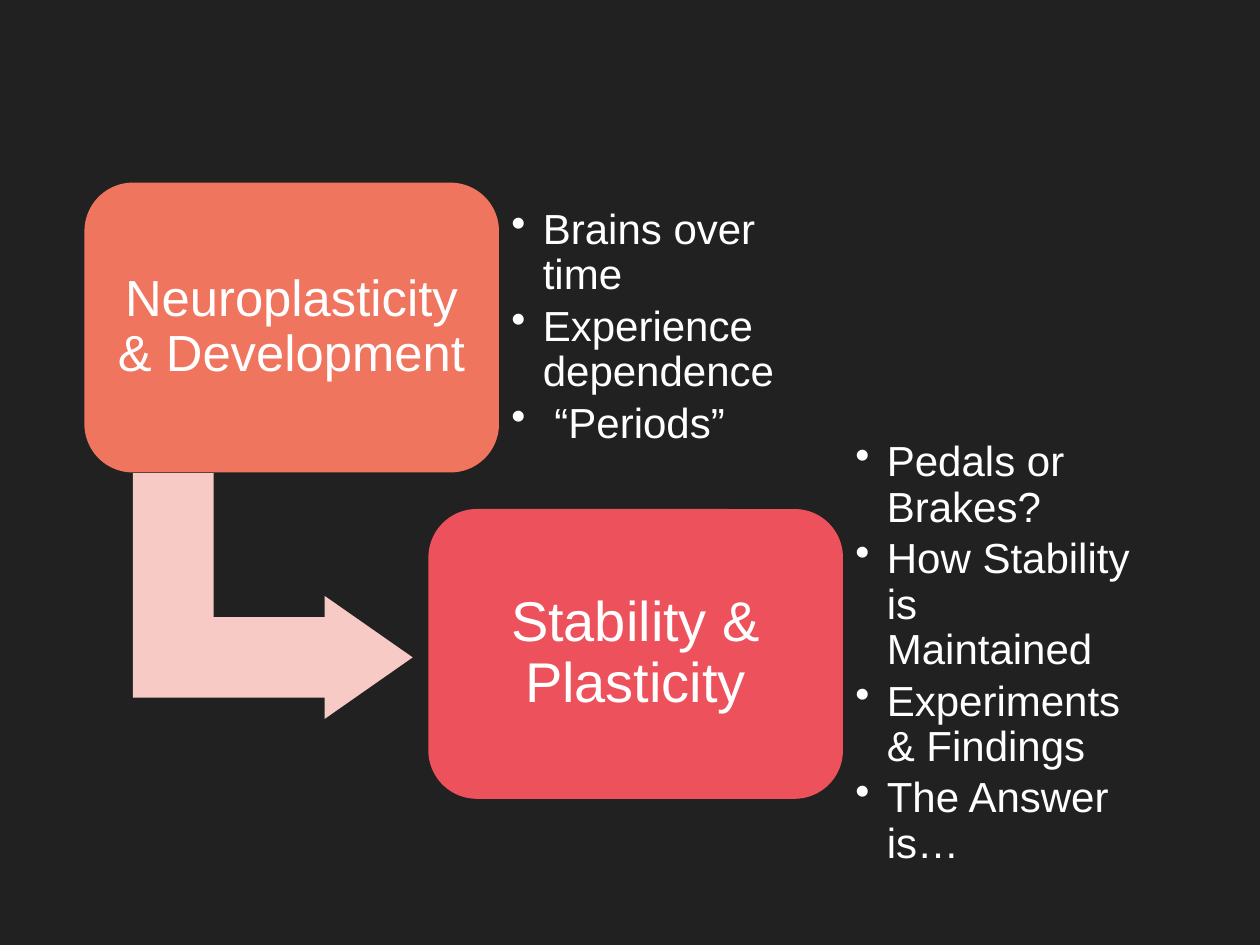
from lxml import etree
from pptx import Presentation
from pptx.dml.color import RGBColor
from pptx.enum.shapes import MSO_SHAPE
from pptx.enum.text import MSO_ANCHOR, PP_ALIGN
from pptx.oxml.ns import qn
from pptx.util import Inches, Pt

ROUND, BENT = MSO_SHAPE.ROUNDED_RECTANGLE, MSO_SHAPE.BENT_UP_ARROW
MIDDLE = MSO_ANCHOR.MIDDLE
CENTER, LEFT = PP_ALIGN.CENTER, PP_ALIGN.LEFT

COLORS = {"back": "212121", "arrow": "F7CAC5", "coral": "EF755F",
          "red": "ED515C", "text": "FFFFFF"}
CARD_W, CARD_H = 3.29, 2.3
LIST_W, LIST_H = 2.39, 1.86
STEPS = [
    (0.67, 1.45, "coral", "Neuroplasticity & Development", 29, 0.12,
     ["Brains over time", "Experience dependence", " “Periods”"]),
    (3.4, 4.04, "red", "Stability & Plasticity", 32, 0.13,
     ["Pedals or Brakes?", "How Stability is Maintained",
      "Experiments & Findings", "The Answer is…"]),
]


def add_solid(kind, box, color, adjust):
    shape = slide.shapes.add_shape(kind, *map(Inches, box))
    shape.shadow.inherit = False
    shape.fill.solid()
    shape.fill.fore_color.rgb = RGBColor.from_string(COLORS[color])
    shape.line.fill.background()
    for i, value in enumerate(adjust):
        shape.adjustments[i] = value
    return shape


def write(shape, lines, size, inset, bullet=False):
    frame = shape.text_frame
    look = {"word_wrap": True, "vertical_anchor": MIDDLE}
    for side in ("left", "top", "right", "bottom"):
        look[f"margin_{side}"] = Inches(inset)
    for name, value in look.items():
        setattr(frame, name, value)
    for i, line in enumerate(lines):
        para = frame.paragraphs[0] if i == 0 else frame.add_paragraph()
        para.text = line
        if bullet:
            props = para._p.get_or_add_pPr()
            props.set("marL", str(Inches(0.25)))
            props.set("indent", str(-Inches(0.25)))
            etree.SubElement(props, qn("a:buChar")).set("char", "•")
        form = {"alignment": LEFT if bullet else CENTER, "line_spacing": 0.9,
                "space_after": Pt(size * (0.15 if bullet else 0.35))}
        for name, value in form.items():
            setattr(para, name, value)
        for name, value in {"name": "Arial", "size": Pt(size)}.items():
            setattr(para.font, name, value)
        para.font.color.rgb = RGBColor.from_string(COLORS["text"])


deck = Presentation()
deck.slide_width, deck.slide_height = Inches(10), Inches(7.5)
slide = deck.slides.add_slide(deck.slide_layouts[6])
slide.background.fill.solid()
slide.background.fill.fore_color.rgb = RGBColor.from_string(COLORS["back"])

arrow = add_solid(BENT, (1.19, 3.62, 1.95, 2.22), "arrow", (0.328, 0.25, 0.358))
arrow.rotation = 90

for left, top, color, title, size, inset, points in STEPS:
    card = add_solid(ROUND, (left, top, CARD_W, CARD_H), color, (0.167,))
    write(card, [title], size, inset)
    area = (left + CARD_W, top + (CARD_H - LIST_H) / 2, LIST_W, LIST_H)
    notes = slide.shapes.add_textbox(*map(Inches, area))
    write(notes, points, 24, 0.1, bullet=True)

deck.save("out.pptx")
